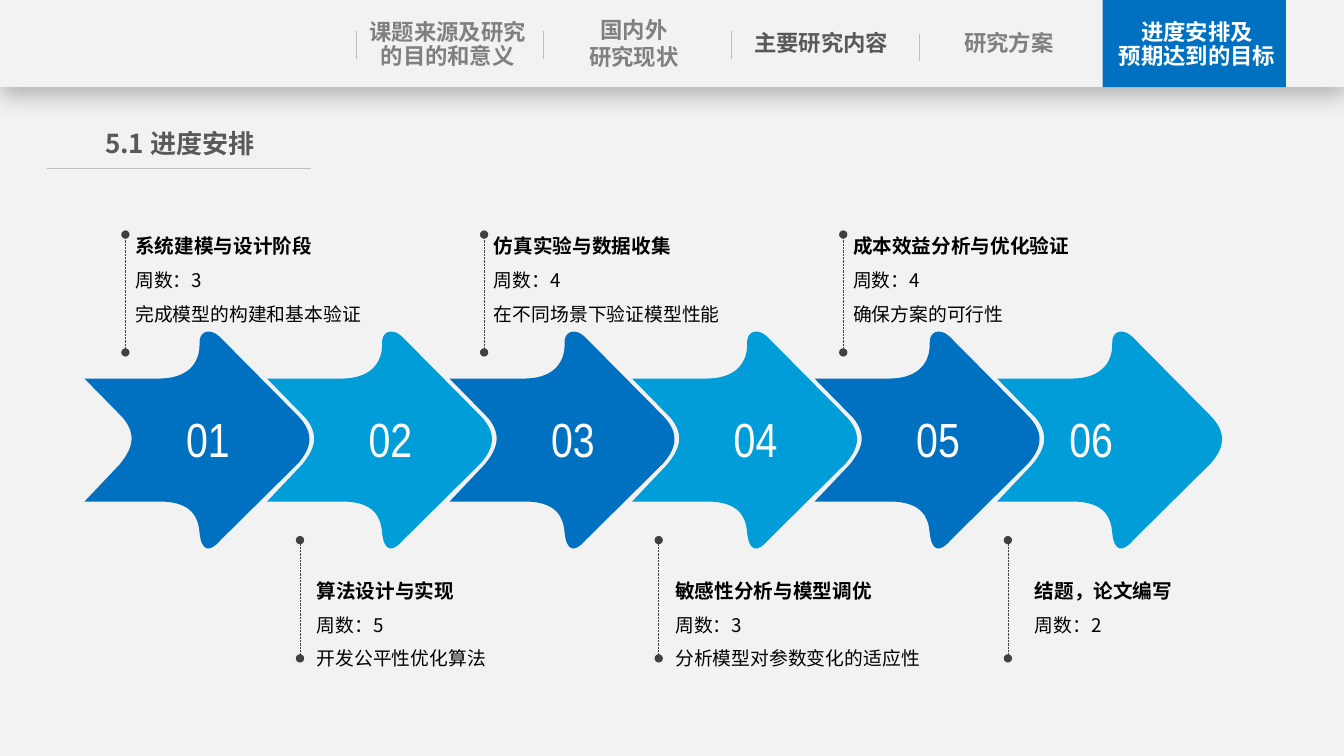
from dataclasses import dataclass

from lxml import etree
from pptx import Presentation
from pptx.dml.color import RGBColor
from pptx.enum.dml import MSO_LINE
from pptx.enum.shapes import MSO_CONNECTOR, MSO_SHAPE
from pptx.enum.text import MSO_ANCHOR, MSO_AUTO_SIZE, PP_ALIGN
from pptx.oxml.ns import qn
from pptx.shapes.autoshape import Shape
from pptx.shapes.connector import Connector
from pptx.slide import Slide
from pptx.text.text import TextFrame
from pptx.util import Cm, Pt

RECT = MSO_SHAPE.RECTANGLE
STRAIGHT = MSO_CONNECTOR.STRAIGHT
DOTTED = MSO_LINE.ROUND_DOT
GROW = MSO_AUTO_SIZE.SHAPE_TO_FIT_TEXT
LEFT, CENTER = PP_ALIGN.LEFT, PP_ALIGN.CENTER
TOP, MIDDLE = MSO_ANCHOR.TOP, MSO_ANCHOR.MIDDLE

SANS, NARROW = "Noto Sans CJK SC", "Arial Narrow"
PAPER, WHITE, BLACK = "F2F2F2", "FFFFFF", "000000"
BLUE, SKY = "0070C0", "009DD9"
DARK, GRAY, RULE, PIN = "595959", "808080", "BFBFBF", "404040"

SLIDE_W, SLIDE_H, HEADER_H = 33.87, 19.05, 2.2
ARROW_LEFT, ARROW_TOP, ARROW_STEP = 2.13, 8.35, 4.6
ARROW_W, ARROW_H = 5.67, 5.46
ARROW_START = (0, 1.19)
ARROW_PATH = [
    [(1.88, 1.19)],
    [(2.54, 1.19), (2.9, 0.86), (2.9, 0.33)],
    [(2.87, 0), (3.15, -0.1), (3.4, 0.13)],
    [(5.36, 2.11)],
    [(5.84, 2.59), (5.69, 2.97), (5.38, 3.33)],
    [(3.43, 5.26)],
    [(3.15, 5.59), (2.95, 5.54), (2.9, 5.08)],
    [(2.87, 4.67), (2.69, 4.32), (1.98, 4.29)],
    [(0, 4.29)],
    [(0.89, 3.35)],
    [(1.17, 3), (1.35, 2.64), (0.97, 2.18)],
    [ARROW_START],
]


@dataclass
class Line:
    text: str
    size: float
    color: str
    bold: bool = True
    spacing: float | None = None
    font: str = SANS
    align: PP_ALIGN = CENTER


@dataclass
class Tab:
    left: float
    top: float
    width: float
    height: float
    lines: list[Line]
    anchor: MSO_ANCHOR = TOP


@dataclass
class Stage:
    title: str
    weeks: int
    goal: str
    text_left: float
    text_width: float
    pin_left: float
    number_width: float
    number_offset: float = 2.31


TABS = [
    Tab(18.83, 0.61, 3.73, 0.94, [Line("主要研究内容", 16, DARK)]),
    Tab(23.56, 0.61, 3.73, 0.94, [Line("研究方案", 16, GRAY)]),
    Tab(9.28, 0.4, 4.01, 1.5, [Line("课题来源及研究的目的和意义", 16, GRAY, spacing=0.9)], MIDDLE),
    Tab(14.11, 0.41, 3.73, 1.5, [Line("国内外", 16, GRAY, spacing=0.8), Line("研究现状", 16, GRAY)]),
    Tab(28.08, 0.41, 4.17, 1.5, [Line("进度安排及", 16, WHITE, spacing=0.9),
                                 Line("预期达到的目标", 16, WHITE, spacing=0.9)]),
    Tab(1.9, 3.08, 5.26, 1.07, [Line("5.1 进度安排", 18.6, DARK)]),
]
DIVIDERS = [(8.97, 0.79), (13.7, 0.79), (18.44, 0.79), (23.16, 0.86)]

STAGES = [
    Stage("系统建模与设计阶段", 3, "完成模型的构建和基本验证", 3.16, 6.43, 3.16, 1.63),
    Stage("算法设计与实现", 5, "开发公平性优化算法", 7.73, 5.26, 7.56, 1.78),
    Stage("仿真实验与数据收集", 4, "在不同场景下验证模型性能", 12.2, 6.4, 12.2, 1.8),
    Stage("敏感性分析与模型调优", 3, "分析模型对参数变化的适应性", 16.77, 6.78, 16.6, 1.78),
    Stage("成本效益分析与优化验证", 4, "确保方案的可行性", 21.25, 6.43, 21.25, 1.83),
    Stage("结题，论文编写", 2, "", 25.83, 6.43, 25.4, 1.9, 1.57),
]


def rgb(value: str) -> RGBColor:
    return RGBColor.from_string(value)


def paint(sp: Shape, color: str) -> None:
    sp.shadow.inherit = False
    sp.fill.solid()
    sp.fill.fore_color.rgb = rgb(color)
    sp.line.fill.background()


def add_rect(s: Slide, left: float, top: float, width: float, height: float, color: str) -> Shape:
    sp = s.shapes.add_shape(RECT, Cm(left), Cm(top), Cm(width), Cm(height))
    paint(sp, color)
    return sp


def add_shadow(sp: Shape) -> None:
    effects = sp.element.spPr.find(qn("a:effectLst"))
    shadow = etree.SubElement(effects, qn("a:outerShdw"), blurRad=str(Pt(18)),
                              dist=str(Pt(4)), dir="5400000", algn="t", rotWithShape="0")
    color = etree.SubElement(shadow, qn("a:srgbClr"), val=BLACK)
    etree.SubElement(color, qn("a:alpha"), val="29000")


def add_line(s: Slide, x1: float, y1: float, x2: float, y2: float, color: str) -> Connector:
    line = s.shapes.add_connector(STRAIGHT, Cm(x1), Cm(y1), Cm(x2), Cm(y2))
    line.line.color.rgb = rgb(color)
    line.line.width = Pt(0.5)
    etree.SubElement(line.element.spPr, qn("a:effectLst"))
    return line


def add_pin(s: Slide, left: float, bottom: float, top: float) -> None:
    line = add_line(s, left, bottom, left, top, PIN)
    line.line.dash_style = DOTTED
    ln = line.element.spPr.find(qn("a:ln"))
    for end in ("a:headEnd", "a:tailEnd"):
        etree.SubElement(ln, qn(end), type="oval")


def write(tf: TextFrame, lines: list[Line]) -> None:
    tf.word_wrap = True
    tf.auto_size = GROW
    for i, line in enumerate(lines):
        p = tf.add_paragraph() if i else tf.paragraphs[0]
        p.text = line.text
        p.alignment = line.align
        p.line_spacing = line.spacing
        p.font.size = Pt(line.size)
        p.font.bold = line.bold
        p.font.color.rgb = rgb(line.color)
        p.font.name = line.font
        latin = p._p.get_or_add_pPr().find(qn("a:defRPr")).find(qn("a:latin"))
        latin.addnext(etree.Element(qn("a:ea"), typeface=line.font))


def add_tab(s: Slide, tab: Tab) -> None:
    sp = s.shapes.add_textbox(Cm(tab.left), Cm(tab.top), Cm(tab.width), Cm(tab.height))
    tf = sp.text_frame
    tf.margin_left = tf.margin_right = 0
    tf.vertical_anchor = tab.anchor
    write(tf, tab.lines)


def add_arrow(s: Slide, index: int, stage: Stage) -> None:
    left = ARROW_LEFT + index * ARROW_STEP
    color = SKY if index % 2 else BLUE
    builder = s.shapes.build_freeform()
    builder.add_line_segments([(Cm(ARROW_W), 0), (0, Cm(ARROW_H))])
    sp = builder.convert_to_shape(Cm(left), Cm(ARROW_TOP))
    outline = sp.element.spPr.find(".//" + qn("a:path"))
    for command in list(outline):
        outline.remove(command)
    for points in [[ARROW_START], *ARROW_PATH]:
        tag = "a:cubicBezTo" if len(points) == 3 else "a:lnTo" if len(outline) else "a:moveTo"
        command = etree.SubElement(outline, qn(tag))
        for x, y in points:
            etree.SubElement(command, qn("a:pt"), x=str(Cm(x)), y=str(Cm(y)))
    etree.SubElement(outline, qn("a:close"))
    paint(sp, color)
    number = add_rect(s, left + stage.number_offset, 10.2, stage.number_width, 1.73, color)
    number.text_frame.vertical_anchor = TOP
    write(number.text_frame, [Line(f"{index + 1:02}", 34.2, WHITE, False, font=NARROW, align=LEFT)])


def add_callout(s: Slide, index: int, stage: Stage) -> None:
    bottom, top, text_top = (16.59, 13.61, 14.16) if index % 2 else (8.88, 5.91, 5.47)
    add_pin(s, stage.pin_left, bottom, top)
    lines = [Line(stage.title, 14, BLACK, True, 1.5, align=LEFT)]
    for text in filter(None, (f"周数：{stage.weeks}", stage.goal)):
        lines.append(Line(text, 13.4, BLACK, False, 1.5, align=LEFT))
    height = 2.87 if stage.goal else 2.01
    sp = s.shapes.add_textbox(Cm(stage.text_left), Cm(text_top), Cm(stage.text_width), Cm(height))
    write(sp.text_frame, lines)


def main() -> None:
    prs = Presentation()
    prs.slide_width, prs.slide_height = Cm(SLIDE_W), Cm(SLIDE_H)
    s = prs.slides.add_slide(prs.slide_layouts[6])
    backdrop = add_rect(s, 0, 0, SLIDE_W, SLIDE_H, PAPER)
    s.slide_layout.shapes.element.insert(2, backdrop.element)
    add_shadow(add_rect(s, 0, 0, SLIDE_W, HEADER_H, PAPER))
    add_rect(s, 27.79, 0, 4.62, HEADER_H, BLUE)
    for left, top in DIVIDERS:
        add_line(s, left, top, left, top + 0.69, RULE)
    add_line(s, 1.19, 4.24, 7.85, 4.24, RULE)
    for tab in TABS:
        add_tab(s, tab)
    for index, stage in reversed(list(enumerate(STAGES))):
        add_arrow(s, index, stage)
    for index, stage in enumerate(STAGES):
        add_callout(s, index, stage)
    prs.save("out.pptx")


if __name__ == "__main__":
    main()
